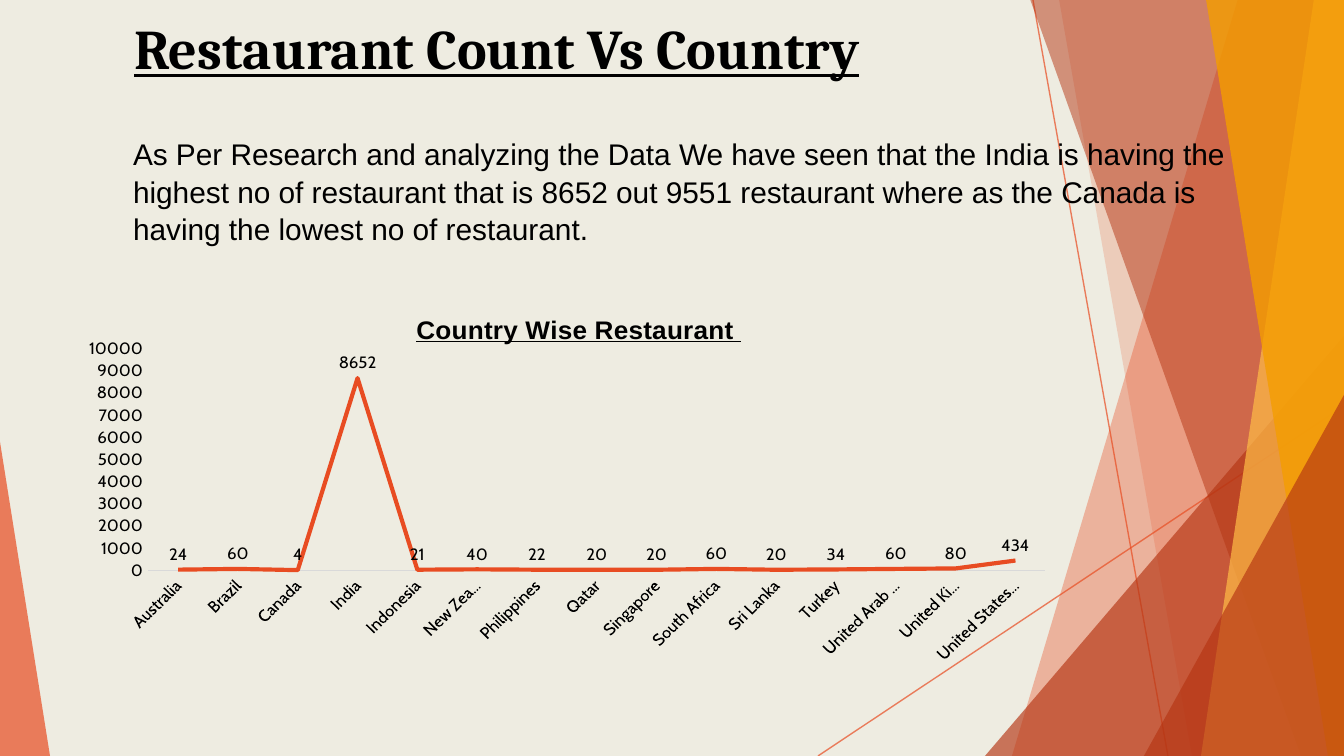
from lxml.etree import SubElement
from pptx import Presentation
from pptx.chart.data import CategoryChartData
from pptx.dml.color import RGBColor
from pptx.enum.chart import XL_CHART_TYPE, XL_LABEL_POSITION, XL_MARKER_STYLE, XL_TICK_MARK
from pptx.enum.shapes import MSO_CONNECTOR, MSO_SHAPE
from pptx.enum.text import MSO_ANCHOR
from pptx.oxml import parse_xml
from pptx.oxml.ns import nsdecls, qn
from pptx.util import Pt

SCALE = 914400 / 134.4
WIDTH, HEIGHT = 1344, 756
ORANGE, RUST, AMBER, GOLD = "E84C22", "B53513", "FFBD47", "F49D00"
BLACK, GREY, CREAM = "000000", "D9D9D9", "EEECE1"

RESTAURANTS = {
    "Australia": 24, "Brazil": 60, "Canada": 4, "India": 8652, "Indonesia": 21,
    "New Zealand": 40, "Philippines": 22, "Qatar": 20, "Singapore": 20,
    "South Africa": 60, "Sri Lanka": 20, "Turkey": 34, "United Arab Emirates": 60,
    "United Kingdom": 80, "United States of America": 434,
}
FINDING = (
    "As Per Research and analyzing the Data We have seen that the India is having the "
    "highest no of restaurant that is 8652 out 9551 restaurant where as the Canada is "
    "having the lowest no of restaurant."
)


def px(*lengths):
    return [round(length * SCALE) for length in lengths]


def paint(fill, color, alpha=100):
    fill.solid()
    fill.fore_color.rgb = RGBColor.from_string(color)
    if alpha < 100:
        tint = fill._xPr.find(".//" + qn("a:srgbClr"))
        SubElement(tint, qn("a:alpha"), val=str(alpha * 1000))


def apply_format(target, values):
    for key, value in values.items():
        setattr(target, key, value)


def style_font(font, color=BLACK, **values):
    apply_format(font, values)
    paint(font.fill, color)


def finish_facet(facet, color, alpha):
    facet.shadow.inherit = False
    facet.line.fill.background()
    paint(facet.fill, color, alpha)


def add_facets(slide, box):
    left, top, width, height = box
    right, bottom = left + width, top + height

    def ray(start, end):
        line = slide.shapes.add_connector(
            MSO_CONNECTOR.STRAIGHT,
            *px(left + start[0], top + start[1], left + end[0], top + end[1]))
        paint(line.line.fill, ORANGE, 70)
        line.line.width = Pt(0.75)
        SubElement(line._element.spPr, qn("a:effectLst"))

    def band(upper, lower, color, alpha):
        builder = slide.shapes.build_freeform(left + upper, top - 1, scale=SCALE)
        builder.add_line_segments(
            [(right, top - 1), (right, bottom), (left + lower, bottom)], close=True)
        finish_facet(builder.convert_to_shape(), color, alpha)

    def wedge(start, end, peak, apex, color, alpha):
        facet = slide.shapes.add_shape(
            MSO_SHAPE.ISOSCELES_TRIANGLE,
            *px(left + start, top + peak, end - start, height - peak))
        facet.adjustments[0] = apex
        finish_facet(facet, color, alpha)

    ray((1033, 0), (1168, height))
    ray((width, 406), (818, height))
    band(1238, 1012, ORANGE, 36)
    band(1059, 1192, ORANGE, 20)
    wedge(985, width, 336, 1, RUST, 66)
    band(1030, 1301, RUST, 50)
    band(1314, 1201, AMBER, 70)
    band(1206, 1328, GOLD, 80)
    wedge(1144, width, 395, 1, RUST, 66)
    wedge(0, 50, 442, 0, ORANGE, 70)


def add_text(slide, box, text, anchor, indent=0, spacing=1.0, **font):
    frame = slide.shapes.add_textbox(*px(*box)).text_frame
    inset = px(13)[0]
    apply_format(frame, {
        "word_wrap": True, "vertical_anchor": anchor,
        "margin_left": inset, "margin_right": inset,
        "margin_top": inset, "margin_bottom": inset,
    })
    paragraph = frame.paragraphs[0]
    paragraph.line_spacing = spacing
    if indent:
        paragraph._p.get_or_add_pPr().set("marL", str(px(indent)[0]))
    run = paragraph.add_run()
    run.text = text
    style_font(run.font, **font)


def set_layout(parent, **values):
    for old in parent.findall(qn("c:layout")):
        parent.remove(old)
    layout = parse_xml(f"<c:layout {nsdecls('c')}><c:manualLayout/></c:layout>")
    for key, value in values.items():
        SubElement(layout[0], qn("c:" + key), val=str(value))
    return layout


def add_country_chart(slide, box):
    data = CategoryChartData()
    data.categories = list(RESTAURANTS)
    data.add_series("Series 1", list(RESTAURANTS.values()))
    chart = slide.shapes.add_chart(XL_CHART_TYPE.LINE, *px(*box), data).chart
    chart.has_legend = False
    style_font(chart.font, name="Cabin", size=Pt(10))

    heading = chart.chart_title.text_frame.paragraphs[0].add_run()
    heading.text = "Country Wise Restaurant "
    style_font(heading.font, name="Arial", size=Pt(14), bold=True, underline=True)
    title = chart.chart_title._element
    title.find(qn("c:tx")).addnext(
        set_layout(title, xMode="edge", yMode="edge", x=0.33, y=0.05))
    chart.chart_title.include_in_layout = False

    plot_area = chart._chartSpace.chart.plotArea
    plot_area.insert(0, set_layout(
        plot_area, layoutTarget="inner", xMode="edge", yMode="edge",
        x=0.06, y=0.16, w=0.92, h=0.61))

    for axis in (chart.category_axis, chart.value_axis):
        apply_format(axis, {
            "has_major_gridlines": False,
            "major_tick_mark": XL_TICK_MARK.NONE,
            "minor_tick_mark": XL_TICK_MARK.NONE,
        })
        style_font(axis.tick_labels.font, name="Cabin", size=Pt(9))
    apply_format(chart.value_axis, {
        "minimum_scale": 0, "maximum_scale": 10000, "major_unit": 1000})
    chart.value_axis.format.line.fill.background()
    country_line = chart.category_axis.format.line
    paint(country_line.fill, GREY)
    country_line.width = Pt(0.75)
    country_text = chart.category_axis._element.find(qn("c:txPr"))
    country_text.find(qn("a:bodyPr")).set("rot", "-2700000")

    chart.plots[0].vary_by_categories = False
    counts = chart.plots[0].series[0]
    counts.smooth = False
    counts.marker.style = XL_MARKER_STYLE.NONE
    paint(counts.format.line.fill, ORANGE)
    counts.format.line.width = Pt(2.25)
    apply_format(counts.data_labels, {
        "show_value": True, "position": XL_LABEL_POSITION.ABOVE})
    style_font(counts.data_labels.font, name="Cabin", size=Pt(9))


def main():
    deck = Presentation()
    deck.slide_width, deck.slide_height = px(WIDTH, HEIGHT)
    slide = deck.slides.add_slide(deck.slide_layouts[6])
    paint(slide.background.fill, CREAM)
    add_facets(slide, (0, 0, WIDTH, HEIGHT))
    add_text(slide, (121, 0, 1103, 95), "Restaurant Count Vs Country", MSO_ANCHOR.MIDDLE,
             name="Cambria", size=Pt(30), bold=True, underline=True)
    add_text(slide, (30, 121, 1227, 235), FINDING, MSO_ANCHOR.TOP, indent=90,
             spacing=1.05, name="Arial", size=Pt(16))
    add_country_chart(slide, (89, 290, 976, 374))
    deck.save("out.pptx")


if __name__ == "__main__":
    main()
